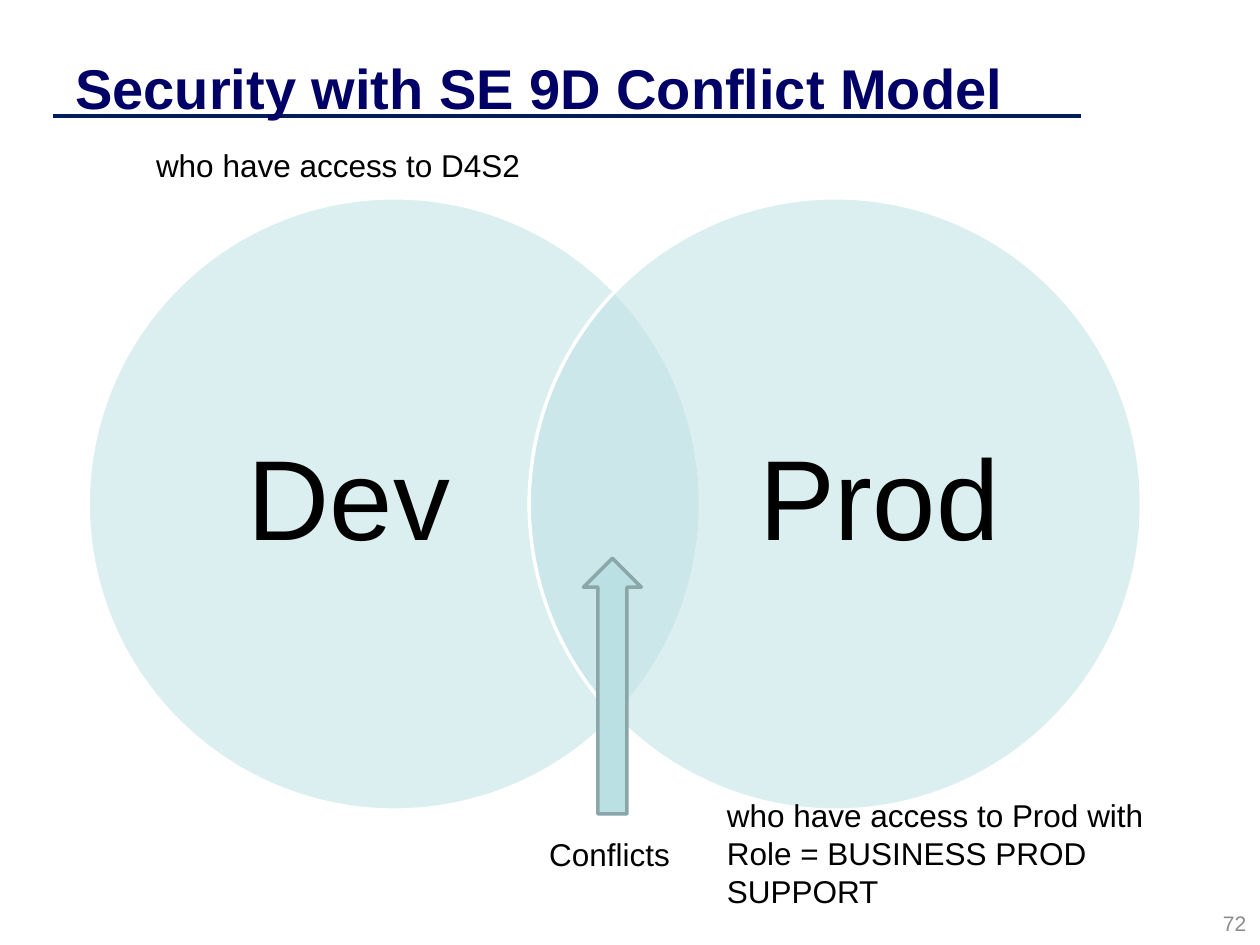
from dataclasses import dataclass

from pptx import Presentation
from pptx.dml.color import RGBColor
from pptx.enum.shapes import MSO_CONNECTOR, MSO_SHAPE
from pptx.enum.text import MSO_ANCHOR, PP_ALIGN
from pptx.oxml.ns import qn
from pptx.shapes.autoshape import Shape
from pptx.slide import Slide
from pptx.util import Inches, Pt
from lxml.etree import SubElement

PALE_TEAL = "BBE0E3"
CIRCLE_TOP, CIRCLE_SIZE = 1.57, 4.86


@dataclass
class Label:
    text: str
    left: float
    top: float
    width: float
    height: float
    size: int = 18
    color: str = "000000"
    bold: bool = False
    align: PP_ALIGN = PP_ALIGN.LEFT
    anchor: MSO_ANCHOR = MSO_ANCHOR.TOP
    margin: float | None = None
    line_spacing: float = 1.0


@dataclass
class Circle:
    name: str
    left: float
    label_left: float


CIRCLES = [Circle("Dev", 0.7, 1.37), Circle("Prod", 4.2, 5.58)]

LABELS = [
    Label("Security with SE 9D Conflict Model", 0.5, 0.3, 8, 0.78, size=32,
          color="000066", bold=True, anchor=MSO_ANCHOR.MIDDLE),
    Label("72", 7.66, 7.16, 2.33, 0.34, size=12, color="8C8C8C",
          align=PP_ALIGN.RIGHT, anchor=MSO_ANCHOR.MIDDLE),
    Label("Conflicts", 4.26, 6.58, 1.18, 0.4),
    Label("who have access to D4S2", 1.14, 1.11, 3.94, 0.4),
    Label("who have access to Prod with Role = BUSINESS PROD SUPPORT",
          5.67, 6.27, 3.85, 1.01),
]


def rgb(color: str) -> RGBColor:
    return RGBColor.from_string(color)


def add_label(slide: Slide, label: Label) -> None:
    box = slide.shapes.add_textbox(Inches(label.left), Inches(label.top),
                                   Inches(label.width), Inches(label.height))
    frame = box.text_frame
    frame.word_wrap = True
    frame.vertical_anchor = label.anchor
    if label.margin is not None:
        frame.margin_left = frame.margin_right = Inches(label.margin)
        frame.margin_top = frame.margin_bottom = Inches(label.margin)
    para = frame.paragraphs[0]
    para.text = label.text
    para.alignment = label.align
    para.line_spacing = label.line_spacing
    para.font.name = "Arial"
    para.font.size = Pt(label.size)
    para.font.bold = label.bold
    para.font.color.rgb = rgb(label.color)


def add_filled_shape(slide: Slide, kind: MSO_SHAPE, left: float, top: float,
                     width: float, height: float, line_color: str) -> Shape:
    shape = slide.shapes.add_shape(kind, Inches(left), Inches(top),
                                   Inches(width), Inches(height))
    shape.shadow.inherit = False
    shape.fill.solid()
    shape.fill.fore_color.rgb = rgb(PALE_TEAL)
    shape.line.color.rgb = rgb(line_color)
    shape.line.width = Pt(2)
    return shape


def set_fill_opacity(shape: Shape, percent: int) -> None:
    color = shape.fill._xPr.find(qn("a:solidFill"))[0]
    SubElement(color, qn("a:alpha")).set("val", str(percent * 1000))


def add_circle(slide: Slide, circle: Circle) -> None:
    shape = add_filled_shape(slide, MSO_SHAPE.OVAL, circle.left, CIRCLE_TOP,
                             CIRCLE_SIZE, CIRCLE_SIZE, "FFFFFF")
    set_fill_opacity(shape, 50)
    add_label(slide, Label(circle.name, circle.label_left, 2.14, 2.8, 3.71, size=65,
                           align=PP_ALIGN.CENTER, anchor=MSO_ANCHOR.MIDDLE,
                           margin=0, line_spacing=0.9))


def add_title_rule(slide: Slide) -> None:
    rule = slide.shapes.add_connector(MSO_CONNECTOR.STRAIGHT, Inches(0.42), Inches(0.92),
                                      Inches(8.58), Inches(0.92))
    rule.line.color.rgb = rgb("001C5A")
    rule.line.width = Pt(2)
    SubElement(rule._element.spPr, qn("a:effectLst"))


def main() -> None:
    deck = Presentation()
    deck.slide_width, deck.slide_height = Inches(10), Inches(7.5)
    slide = deck.slides.add_slide(deck.slide_layouts[6])
    add_title_rule(slide)
    for circle in CIRCLES:
        add_circle(slide, circle)
    arrow = add_filled_shape(slide, MSO_SHAPE.DOWN_ARROW, 4.63, 4.43, 0.46, 2.03, "8AA6A8")
    arrow.rotation = 180
    for label in LABELS:
        add_label(slide, label)
    deck.save("out.pptx")


if __name__ == "__main__":
    main()
